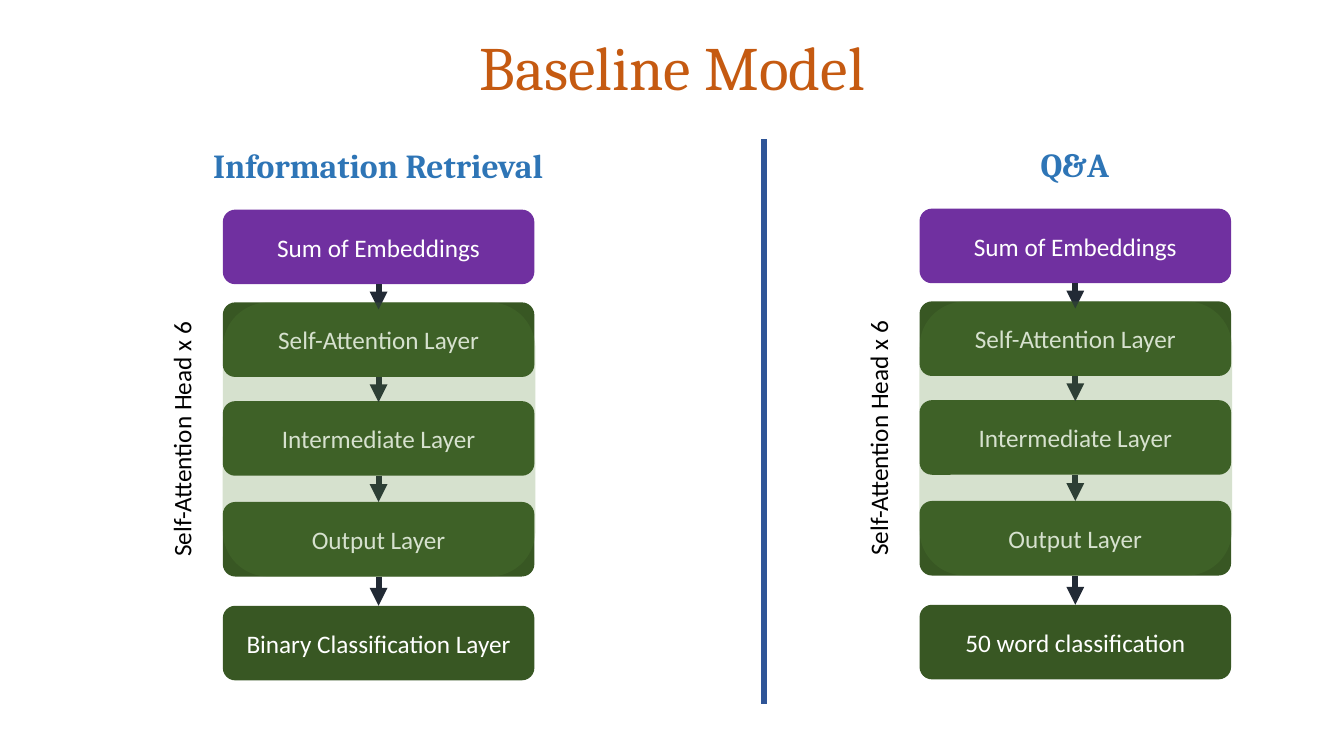
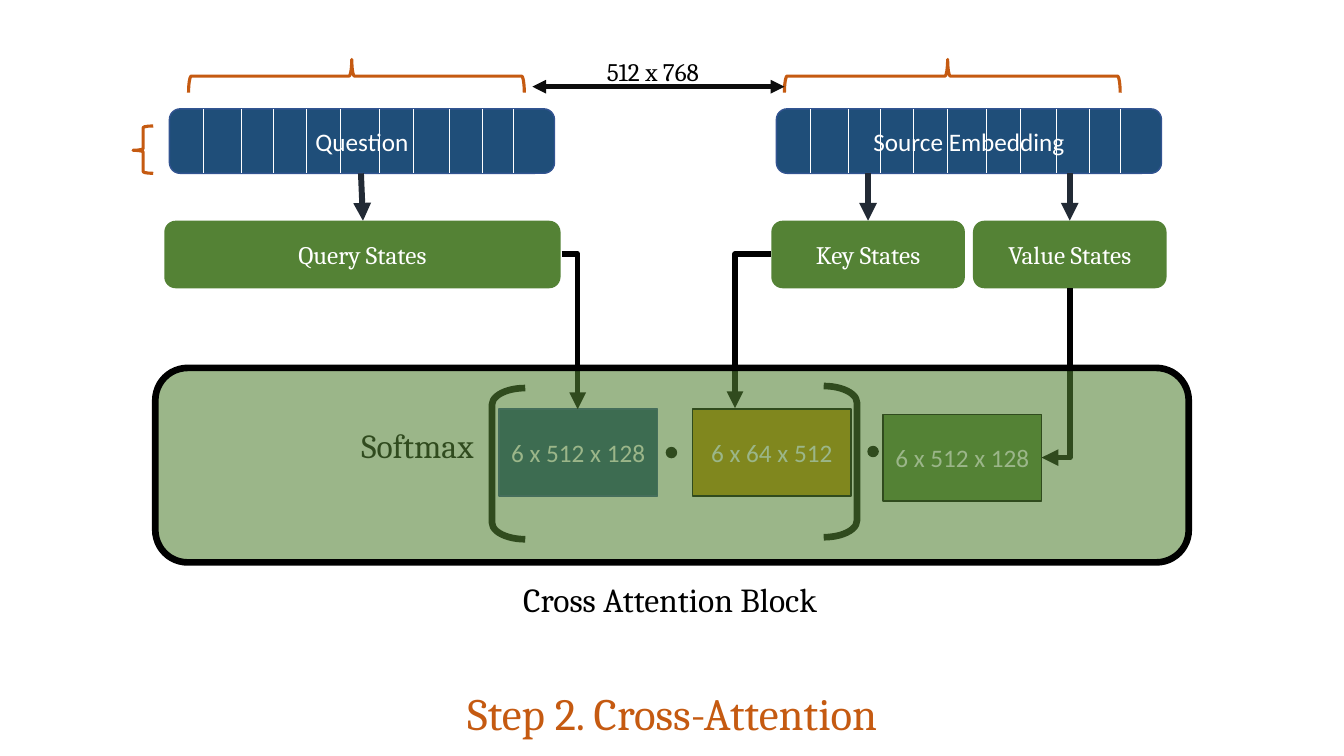
from lxml import etree
from pptx import Presentation
from pptx.dml.color import RGBColor
from pptx.enum.shapes import MSO_CONNECTOR, MSO_SHAPE
from pptx.enum.text import MSO_ANCHOR, PP_ALIGN
from pptx.oxml.ns import qn
from pptx.util import Inches, Pt

ROUND = MSO_SHAPE.ROUNDED_RECTANGLE
RECT = MSO_SHAPE.RECTANGLE
BRACE = MSO_SHAPE.LEFT_BRACE
OPEN = MSO_SHAPE.LEFT_BRACKET
CLOSE = MSO_SHAPE.RIGHT_BRACKET
DOT = MSO_SHAPE.FLOWCHART_CONNECTOR
STRAIGHT = MSO_CONNECTOR.STRAIGHT
ELBOW = MSO_CONNECTOR.ELBOW
CENTER = PP_ALIGN.CENTER
LEFT = PP_ALIGN.LEFT
MIDDLE = MSO_ANCHOR.MIDDLE
TOP = MSO_ANCHOR.TOP

WHITE = RGBColor(0xFF, 0xFF, 0xFF)
BLACK = RGBColor(0x00, 0x00, 0x00)
INK = RGBColor(0x0D, 0x0D, 0x0D)
SLATE = RGBColor(0x22, 0x2A, 0x35)
PURPLE = RGBColor(0x70, 0x30, 0xA0)
FOREST = RGBColor(0x38, 0x57, 0x23)
GREEN = RGBColor(0x54, 0x82, 0x35)
GOLD = RGBColor(0xBF, 0x90, 0x00)
NAVY = RGBColor(0x1F, 0x4E, 0x79)
EDGE = RGBColor(0x32, 0x54, 0x91)
RULE = RGBColor(0x2F, 0x55, 0x97)
BLUE = RGBColor(0x2E, 0x75, 0xB6)
ORANGE = RGBColor(0xC5, 0x5A, 0x11)

SANS = "Calibri"
SERIF = "Cambria"


def write(frame, words, size=18, font=SANS, color=BLACK, bold=False,
          align=CENTER, anchor=TOP, spacing=None):
    frame.word_wrap = True
    frame.vertical_anchor = anchor
    para = frame.paragraphs[0]
    para.alignment = align
    if spacing:
        para.line_spacing = spacing
    run = para.add_run()
    run.text = words
    run.font.size = Pt(size)
    run.font.name = font
    run.font.bold = bold
    run.font.color.rgb = color


class Deck:
    def __init__(self):
        self.file = Presentation()
        self.file.slide_width = Inches(13.33)
        self.file.slide_height = Inches(7.5)
        self.slide = None

    def page(self):
        self.slide = self.file.slides.add_slide(self.file.slide_layouts[6])

    def label(self, words, left, top, width, height, turn=0, **style):
        box = self.slide.shapes.add_textbox(
            Inches(left), Inches(top), Inches(width), Inches(height))
        box.rotation = turn
        write(box.text_frame, words, **style)

    def title(self, words, left, top, width, height, size):
        self.label(words, left, top, width, height, size=size, font=SERIF,
                   color=ORANGE, anchor=MIDDLE, spacing=0.9)

    def shape(self, kind, left, top, width, height, fill=None, line=None,
              weight=1, alpha=None, words="", font=SANS, turn=0, adjust=()):
        item = self.slide.shapes.add_shape(
            kind, Inches(left), Inches(top), Inches(width), Inches(height))
        item.shadow.inherit = False
        item.rotation = turn
        for spot, value in enumerate(adjust):
            item.adjustments[spot] = value
        if fill is None:
            item.fill.background()
        else:
            item.fill.solid()
            item.fill.fore_color.rgb = fill
        if alpha:
            color = item.element.spPr.find(qn("a:solidFill"))[0]
            etree.SubElement(color, qn("a:alpha"), val=str(alpha * 1000))
        if line is None:
            item.line.fill.background()
        else:
            item.line.color.rgb = line
            item.line.width = Pt(weight)
        if words:
            write(item.text_frame, words, font=font, color=WHITE, anchor=MIDDLE)

    def line(self, start, end, color, weight, head=False, tail=False, kind=STRAIGHT):
        link = self.slide.shapes.add_connector(
            kind, *(Inches(value) for value in (*start, *end)))
        link.line.color.rgb = color
        link.line.width = Pt(weight)
        stroke = link.line._get_or_add_ln()
        for name, shown in (("a:headEnd", head), ("a:tailEnd", tail)):
            if shown:
                etree.SubElement(stroke, qn(name), type="triangle")
        etree.SubElement(link.element.spPr, qn("a:effectLst"))
        return link

    def arrow(self, start, end):
        self.line(start, end, SLATE, 4.25, tail=True)

    def bend(self, start, end, turn=0):
        link = self.line(start, end, BLACK, 4, tail=True, kind=ELBOW)
        props = link.element.spPr
        props.find(qn("a:prstGeom")).set("prst", "bentConnector2")
        if turn:
            props.find(qn("a:xfrm")).set("rot", str(turn * 60000))

    def stack(self, left, top, head, last):
        layers = ((0, PURPLE, "Sum of Embeddings"),
                  (0.92, FOREST, "Self-Attention Layer"),
                  (1.9, FOREST, "Intermediate Layer"),
                  (2.9, FOREST, "Output Layer"),
                  (3.93, FOREST, last))
        for drop, fill, words in layers:
            self.shape(ROUND, left, top + drop, 3.09, 0.74, fill, words=words)
        for drop, size in ((0.74, 0.25), (1.66, 0.25), (2.64, 0.26), (3.64, 0.29)):
            self.arrow((left + 1.545, top + drop), (left + 1.545, top + drop + size))
        self.shape(ROUND, left, top + 0.92, 3.1, 2.72, GREEN, alpha=24)
        self.label("Self-Attention Head x 6", left - 3.03, top + 2.08, 5.24, 0.4, turn=270)
        self.label(head, left - 0.35, top - 0.69, 3.78, 0.5,
                   size=24, font=SERIF, color=BLUE, bold=True)

    def tokens(self, left, words):
        self.shape(ROUND, left, 1.08, 3.82, 0.64, NAVY, EDGE, words=words)
        for step in (0.34, 0.71, 1.03, 1.36, 1.7, 2.08, 2.42, 2.78, 3.1, 3.41):
            self.line((left + step, 1.08), (left + step, 1.72), WHITE, 0.5)

    def brace(self, left, top, width, height, turn=0):
        self.shape(BRACE, left, top, width, height, line=ORANGE, weight=2.25,
                   turn=turn, adjust=(0.083, 0.514))


def model(deck):
    deck.page()
    deck.stack(2.21, 2.08, "Information Retrieval", "Binary Classification Layer")
    deck.line((7.58, 1.38), (7.58, 6.98), RULE, 4.25)
    deck.stack(9.12, 2.07, "Q&A", "50 word classification")
    deck.title("Baseline Model", 0.92, 0.25, 11.5, 0.89, 44)


def cross(deck):
    deck.page()
    deck.title("Step 2. Cross-Attention", 3.02, 6.78, 7.3, 0.65, 32)
    deck.tokens(1.68, "Question")
    deck.tokens(7.7, "Source Embedding")
    for left in (3.37, 9.28):
        deck.brace(left, -0.91, 0.33, 3.33, turn=90)
    deck.line((5.28, 0.86), (7.78, 0.86), INK, 3.25, head=True, tail=True)
    deck.label("512 x 768", 5.63, 0.51, 1.69, 0.4, font=SERIF)
    deck.brace(1.32, 1.25, 0.2, 0.47)
    for start, end in ((3.58, 3.6), (8.61, 8.61), (10.61, 10.61)):
        deck.arrow((start, 1.72), (end, 2.19))
    for left, width, words in ((1.63, 3.93, "Query States"),
                               (7.65, 1.92, "Key States"),
                               (9.65, 1.92, "Value States")):
        deck.shape(ROUND, left, 2.19, width, 0.67, GREEN, words=words, font=SERIF)
    for left, top, fill, edge, words in ((4.95, 4.06, NAVY, EDGE, "6 x 512 x 128"),
                                         (6.87, 4.06, GOLD, BLACK, "6 x 64 x 512"),
                                         (8.76, 4.11, GREEN, BLACK, "6 x 512 x 128")):
        deck.shape(RECT, left, top, 1.57, 0.86, fill, edge, words=words)
    deck.bend((5.57, 2.52), (5.73, 4.06))
    deck.bend((7.65, 2.52), (7.29, 4.05))
    deck.bend((9.63, 3.56), (11.31, 3.84), turn=90)
    for kind, left, top in ((OPEN, 4.88, 3.85), (CLOSE, 8.17, 3.83)):
        deck.shape(kind, left, top, 0.33, 1.5, line=BLACK, weight=4.75, adjust=(0.5,))
    for left, top in ((6.61, 4.44), (8.61, 4.43)):
        deck.shape(DOT, left, top, 0.1, 0.1, BLACK, BLACK)
    deck.label("Softmax", 3.33, 4.17, 1.62, 0.5, size=24, font=SERIF)
    deck.shape(ROUND, 1.54, 3.65, 10.25, 1.93, GREEN, BLACK, 4.75, alpha=58)
    deck.label("Cross Attention Block", 5.09, 5.69, 3.68, 0.5,
               size=24, font=SERIF, align=LEFT)


def main():
    deck = Deck()
    model(deck)
    cross(deck)
    deck.file.save("out.pptx")


if __name__ == "__main__":
    main()
